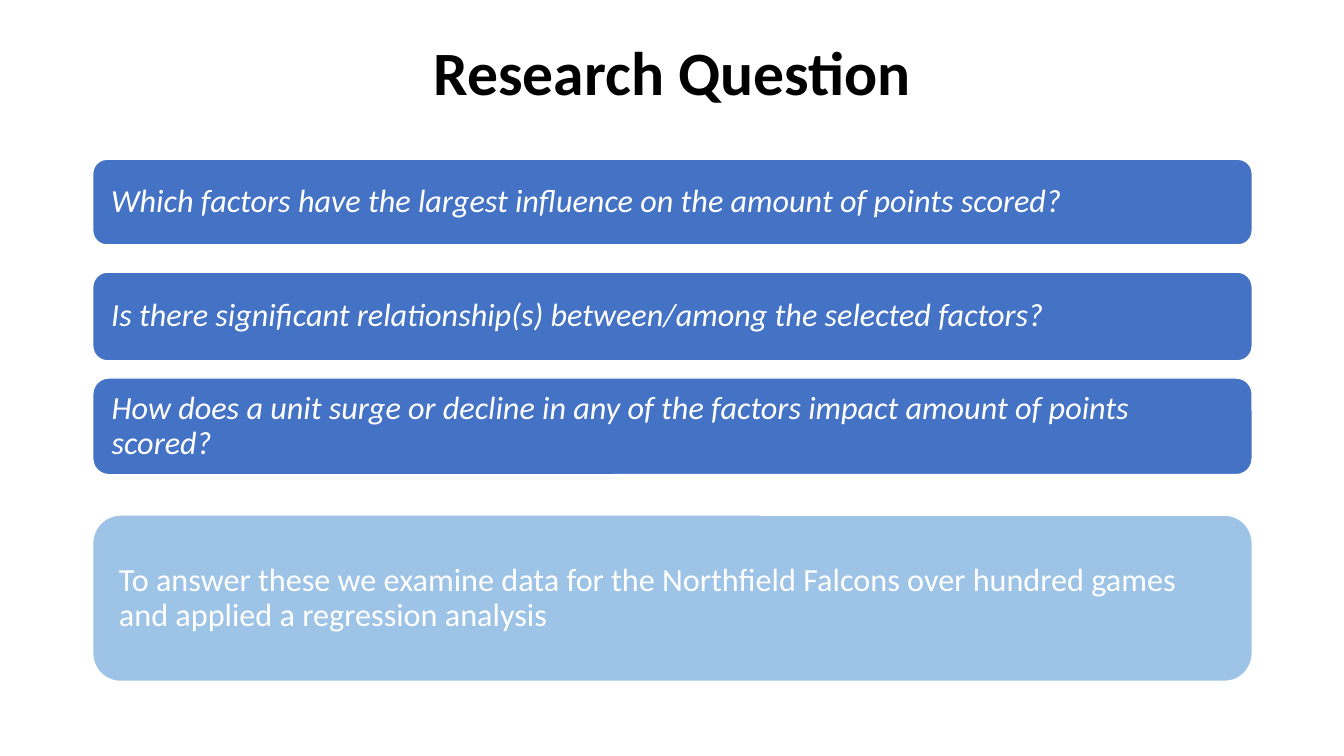
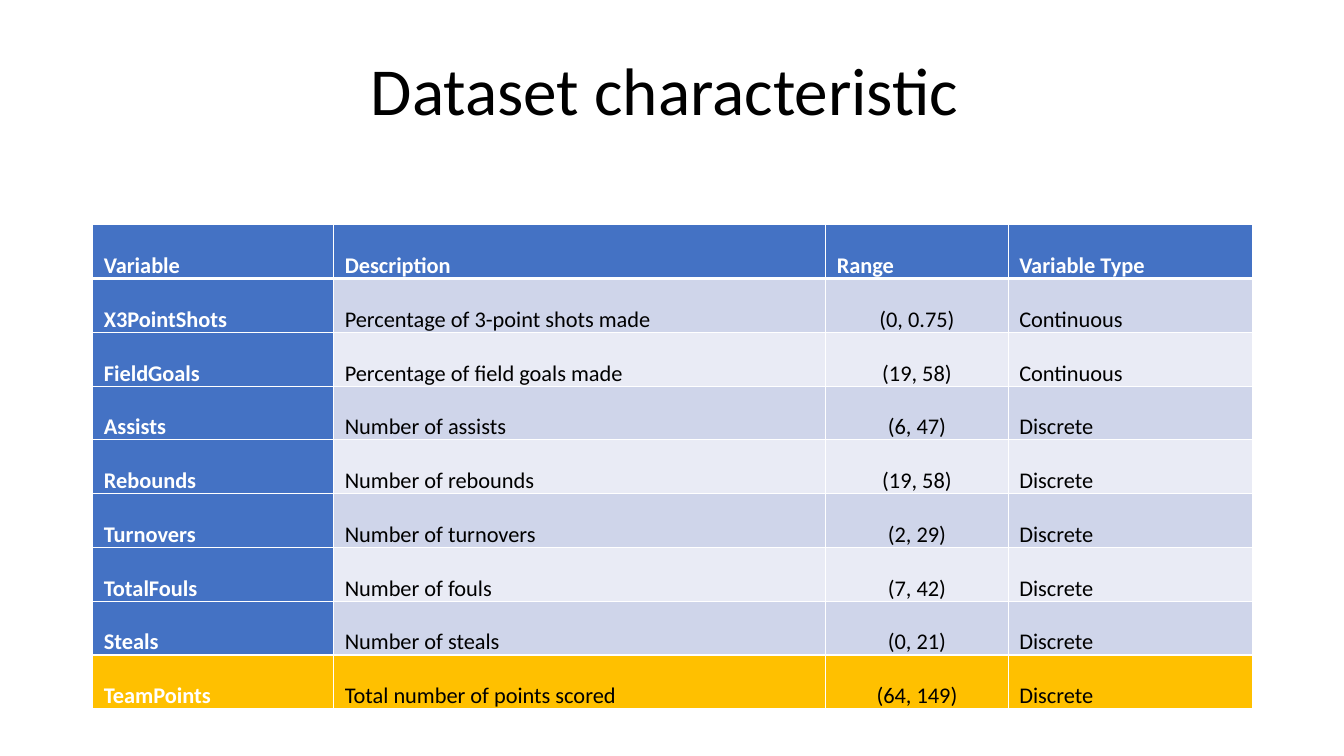
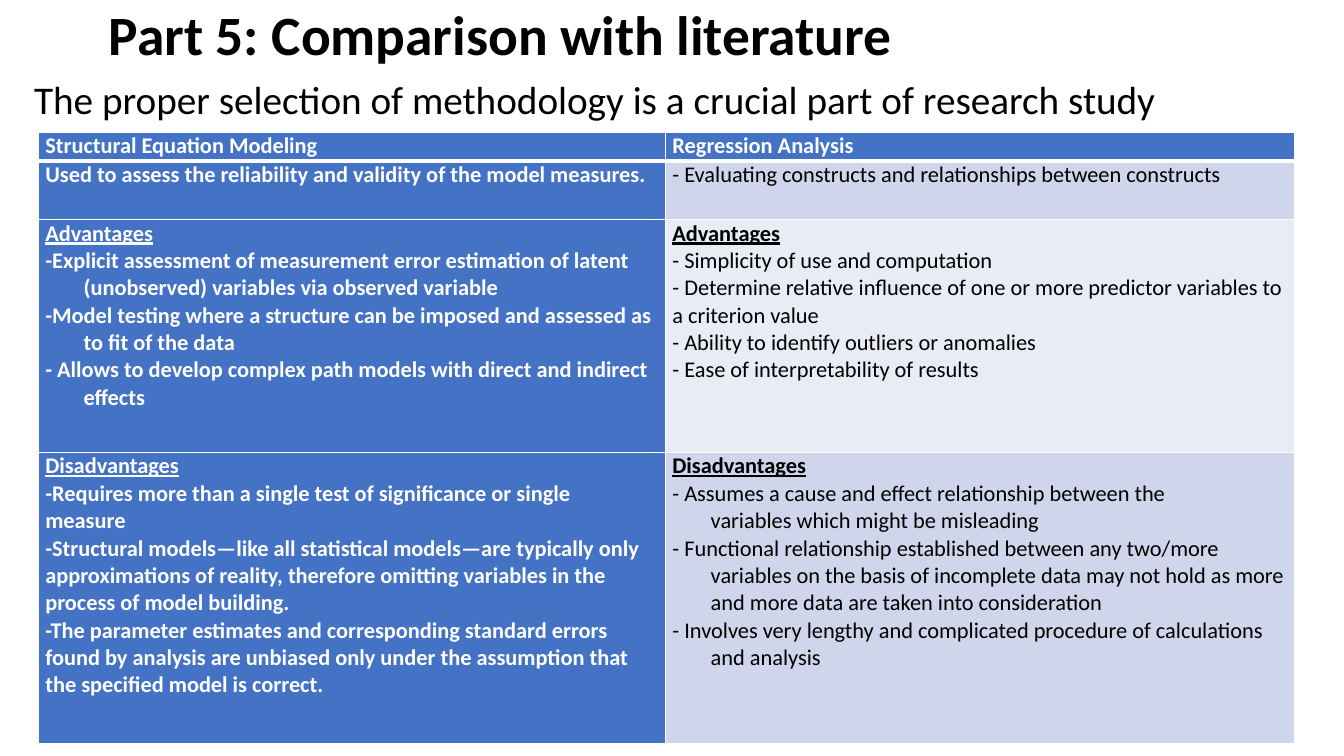
from pptx import Presentation
from pptx.dml.color import RGBColor
from pptx.enum.shapes import MSO_SHAPE
from pptx.enum.text import MSO_ANCHOR, PP_ALIGN
from pptx.oxml.ns import qn
from pptx.util import Inches, Pt
from lxml import etree

ROUNDED = MSO_SHAPE.ROUNDED_RECTANGLE
TOP, MIDDLE, BOTTOM = MSO_ANCHOR.TOP, MSO_ANCHOR.MIDDLE, MSO_ANCHOR.BOTTOM
LEFT, CENTER = PP_ALIGN.LEFT, PP_ALIGN.CENTER

# Shared look
FONT = "Calibri"
BLACK = RGBColor(0x00, 0x00, 0x00)
WHITE = RGBColor(0xFF, 0xFF, 0xFF)
BLUE = RGBColor(0x44, 0x72, 0xC4)
LIGHT_BLUE = RGBColor(0x9D, 0xC3, 0xE6)
BANDS = (RGBColor(0xCF, 0xD5, 0xEA), RGBColor(0xE9, 0xEB, 0xF5))
GOLD = RGBColor(0xFF, 0xC0, 0x00)
MARGIN, CONTENT_WIDTH = 0.92, 11.5
NBSP = chr(160)

# Slide 1: text, top, height, fill, side inset, italic
QUESTION_BOXES = [
    ("Which factors have the largest influence on the amount of points scored?",
     1.58, 0.85, BLUE, 0.14, True),
    ("Is there significant relationship(s) between/among the selected factors?",
     2.7, 0.88, BLUE, 0.14, True),
    ("How does a unit surge or decline in any of the factors impact amount of points scored?",
     3.75, 0.96, BLUE, 0.14, True),
    ("To answer these we examine data for the Northfield Falcons over hundred games "
     "and applied a regression analysis",
     5.11, 1.65, LIGHT_BLUE, 0.18, False),
]

# Slide 2
VARIABLES = [
    ("Variable", "Description", "Range", "Variable Type"),
    ("X3PointShots", "Percentage of 3-point shots made", "(0, 0.75)", "Continuous"),
    ("FieldGoals", "Percentage of field goals made", "(19, 58)", "Continuous"),
    ("Assists", "Number of assists", "(6, 47)", "Discrete"),
    ("Rebounds", "Number of rebounds", "(19, 58)", "Discrete"),
    ("Turnovers", "Number of turnovers", "(2, 29)", "Discrete"),
    ("TotalFouls", "Number of fouls", "(7, 42)", "Discrete"),
    ("Steals", "Number of steals", "(0, 21)", "Discrete"),
    ("TeamPoints", "Total number of points scored", "(64, 149)", "Discrete"),
]
RANGE_COLUMN = 2

# Slide 3: each cell is heading, lines, hanging indent
METHODS = [
    [(None, ["Structural Equation Modeling"], 0),
     (None, ["Regression Analysis"], 0)],
    [(None, ["Used to assess the reliability and validity of the model measures."], 0),
     (None, ["- Evaluating constructs and relationships between constructs"], 0)],
    [("Advantages", [
        "-Explicit assessment of measurement error estimation of latent (unobserved) "
        "variables via observed variable",
        "-Model testing where a structure can be imposed and assessed as to fit of the data",
        "- Allows to develop complex path models with direct and indirect effects"], 0.38),
     ("Advantages", [
         "- Simplicity of use and computation",
         "- Determine relative influence of one or more predictor variables to a criterion value",
         "- Ability to identify outliers or anomalies",
         "- Ease of interpretability of results"], 0)],
    [("Disadvantages", [
        "-Requires more than a single test of significance or single measure" + NBSP,
        "-Structural models—like all statistical models—are typically only approximations "
        "of reality, therefore omitting variables in the process of model building.",
        "-The parameter estimates and corresponding standard errors found by analysis are "
        "unbiased only under the assumption that the specified model is correct."], 0),
     ("Disadvantages", [
         f"- Assumes a cause and effect relationship between the variables{NBSP}which "
         "might be misleading",
         "- Functional relationship established between any two/more variables on the basis "
         "of incomplete data may not hold as more and more data are taken into consideration",
         "- Involves very lengthy and complicated procedure of calculations and analysis"],
      0.38)],
]


def write_text(frame, lines, heading=None, size=16, color=BLACK, bold=False,
               italic=False, align=LEFT, spacing=1.0, hanging=0):
    """Fill a text frame; a heading is bold, underlined and never indented."""
    all_lines = ([heading] if heading else []) + list(lines)
    for index, line in enumerate(all_lines):
        is_heading = bool(heading) and index == 0
        paragraph = frame.paragraphs[0] if index == 0 else frame.add_paragraph()
        paragraph.alignment = align
        paragraph.line_spacing = spacing
        if hanging and not is_heading:
            properties = paragraph._p.get_or_add_pPr()
            properties.set("marL", str(Inches(hanging)))
            properties.set("indent", str(-Inches(hanging)))
        run = paragraph.add_run()
        run.text = line
        font = run.font
        font.name, font.size, font.color.rgb = FONT, Pt(size), color
        font.bold, font.italic = bold or is_heading, italic
        if is_heading:
            font.underline = True


def add_text(slide, text, left, top, width, height, anchor=MIDDLE, **text_format):
    box = slide.shapes.add_textbox(Inches(left), Inches(top), Inches(width), Inches(height))
    box.text_frame.word_wrap = True
    box.text_frame.vertical_anchor = anchor
    write_text(box.text_frame, [text], spacing=0.9, **text_format)


def add_box(slide, text, top, height, fill, inset, italic):
    shape = slide.shapes.add_shape(ROUNDED, Inches(MARGIN), Inches(top),
                                   Inches(CONTENT_WIDTH), Inches(height))
    shape.shadow.inherit = False
    shape.fill.solid()
    shape.fill.fore_color.rgb = fill
    shape.line.color.rgb = WHITE
    shape.line.width = Pt(1)
    frame = shape.text_frame
    frame.word_wrap = True
    frame.vertical_anchor = MIDDLE
    frame.margin_left = frame.margin_right = Inches(inset)
    write_text(frame, [text], size=23, color=WHITE, italic=italic, spacing=0.9)


def set_borders(cell, row):
    """White lines, thicker below the header row."""
    widths = {"L": 1, "R": 1, "T": 3 if row == 1 else 1, "B": 3 if row == 0 else 1}
    properties = cell._tc.get_or_add_tcPr()
    for side, width in widths.items():
        line = etree.SubElement(properties, qn(f"a:ln{side}"), w=str(Pt(width)))
        fill = etree.SubElement(line, qn("a:solidFill"))
        etree.SubElement(fill, qn("a:srgbClr"), val=str(WHITE))


def add_table(slide, left, top, column_widths, row_heights, inset):
    """Add a table with blue header row and first column; return its grid of cells."""
    table = slide.shapes.add_table(
        len(row_heights), len(column_widths), Inches(left), Inches(top),
        Inches(sum(column_widths)), Inches(sum(row_heights))).table
    table.first_row = table.horz_banding = False
    for column, width in zip(table.columns, column_widths):
        column.width = Inches(width)
    for row_index, (row, height) in enumerate(zip(table.rows, row_heights)):
        row.height = Inches(height)
        for column_index, cell in enumerate(row.cells):
            cell.margin_left = cell.margin_right = Inches(inset)
            cell.margin_top = cell.margin_bottom = 0
            set_borders(cell, row_index)
            cell.fill.solid()
            cell.fill.fore_color.rgb = (
                BLUE if is_accent(row_index, column_index) else BANDS[(row_index - 1) % 2])
    return table


def is_accent(row, column):
    return row == 0 or column == 0


def cell_style(row, column):
    accent = is_accent(row, column)
    return {"color": WHITE if accent else BLACK, "bold": accent}


def build_questions(slide):
    add_text(slide, "Research Question", MARGIN, 0.02, CONTENT_WIDTH, 1.45,
             size=44, bold=True, align=CENTER)
    for box in QUESTION_BOXES:
        add_box(slide, *box)


def build_dataset(slide):
    add_text(slide, "Dataset characteristic ", MARGIN, 0.32, CONTENT_WIDTH, 1.02,
             anchor=BOTTOM, size=48, align=CENTER)
    table = add_table(slide, MARGIN, 2.23, (2.39, 4.88, 1.81, 2.42),
                      [0.5] * len(VARIABLES), inset=0.11)
    for row, values in enumerate(VARIABLES):
        for column, value in enumerate(values):
            cell = table.cell(row, column)
            centered = row > 0 and column == RANGE_COLUMN
            write_text(cell.text_frame, [value], spacing=2.0,
                       align=CENTER if centered else LEFT, **cell_style(row, column))
            if row == len(VARIABLES) - 1:
                cell.fill.fore_color.rgb = GOLD


def build_comparison(slide):
    add_text(slide, "Part 5: Comparison with literature", 0.98, 0, CONTENT_WIDTH, 0.75,
             size=39.6, bold=True)
    add_text(slide, "The proper selection of methodology is a crucial part of research study",
             0.24, 0.75, 12.18, 0.56, anchor=TOP, size=28)
    table = add_table(slide, 0.38, 1.31, (6.22, 6.24), (0.29, 0.58, 2.31, 2.89), inset=0.07)
    for row, cells in enumerate(METHODS):
        for column, (heading, lines, hanging) in enumerate(cells):
            write_text(table.cell(row, column).text_frame, lines, heading=heading,
                       hanging=hanging, **cell_style(row, column))


def main():
    presentation = Presentation()
    presentation.slide_width, presentation.slide_height = Inches(13.33), Inches(7.5)
    blank_layout = presentation.slide_layouts[6]
    for build in (build_questions, build_dataset, build_comparison):
        build(presentation.slides.add_slide(blank_layout))
    presentation.save("out.pptx")


if __name__ == "__main__":
    main()
